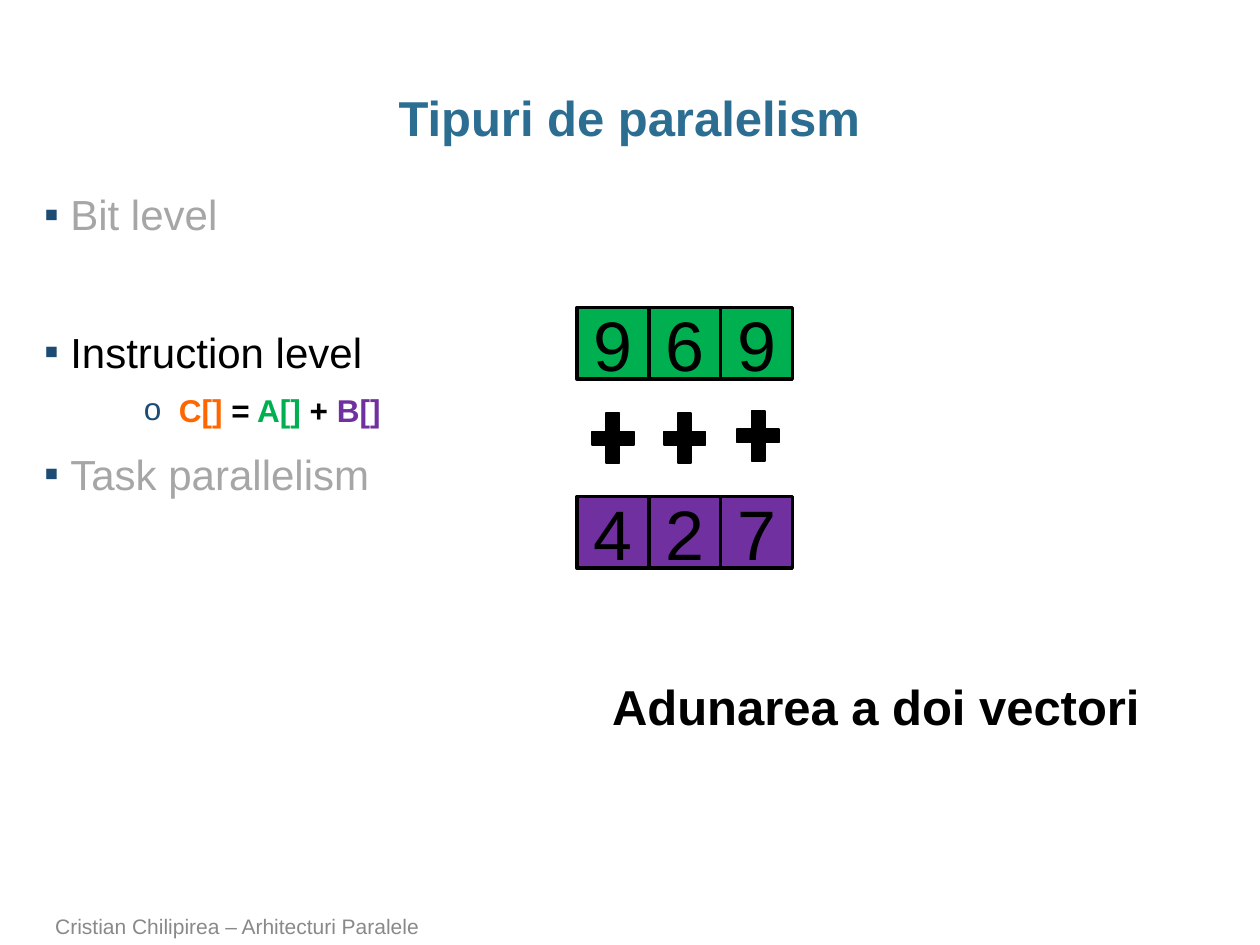
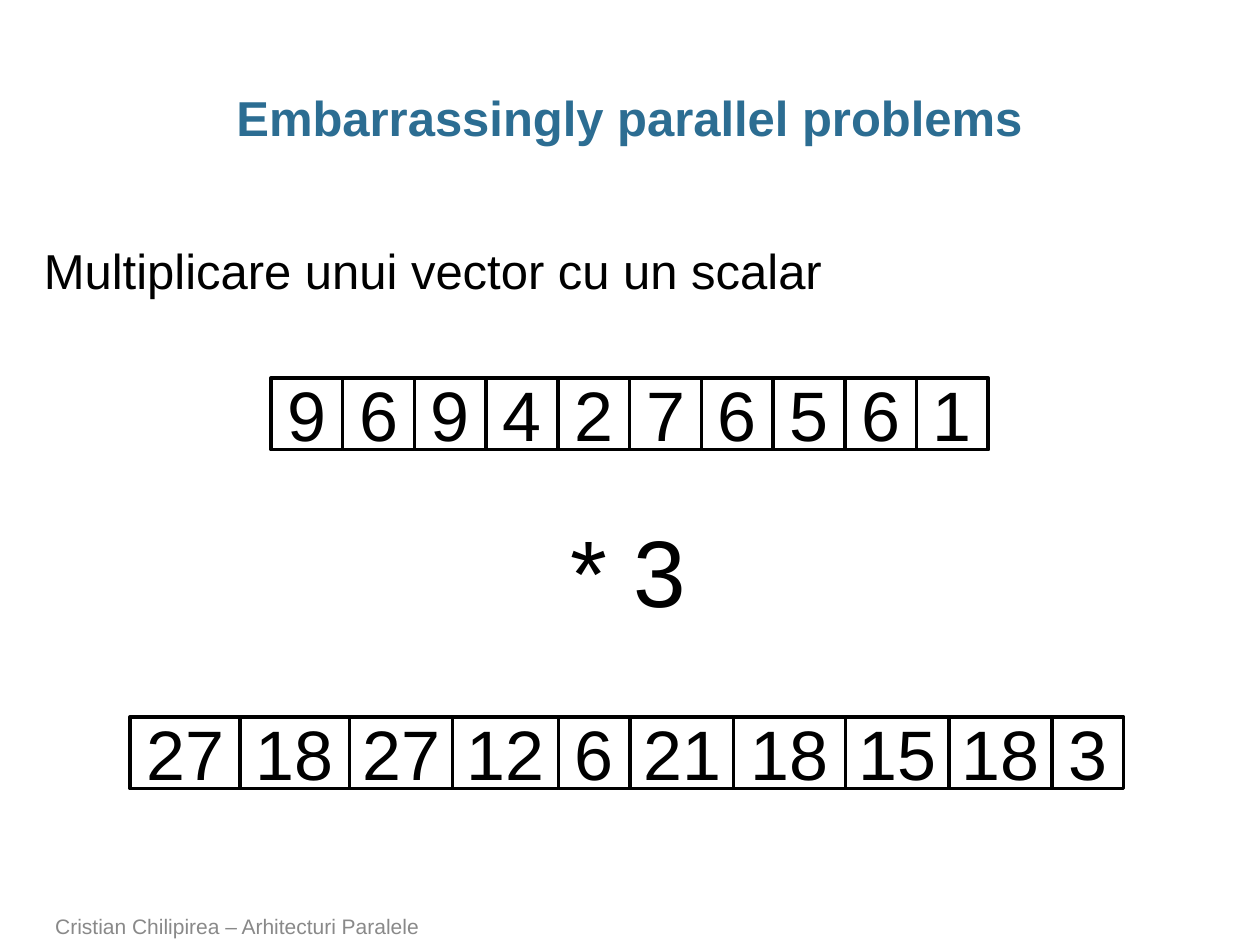
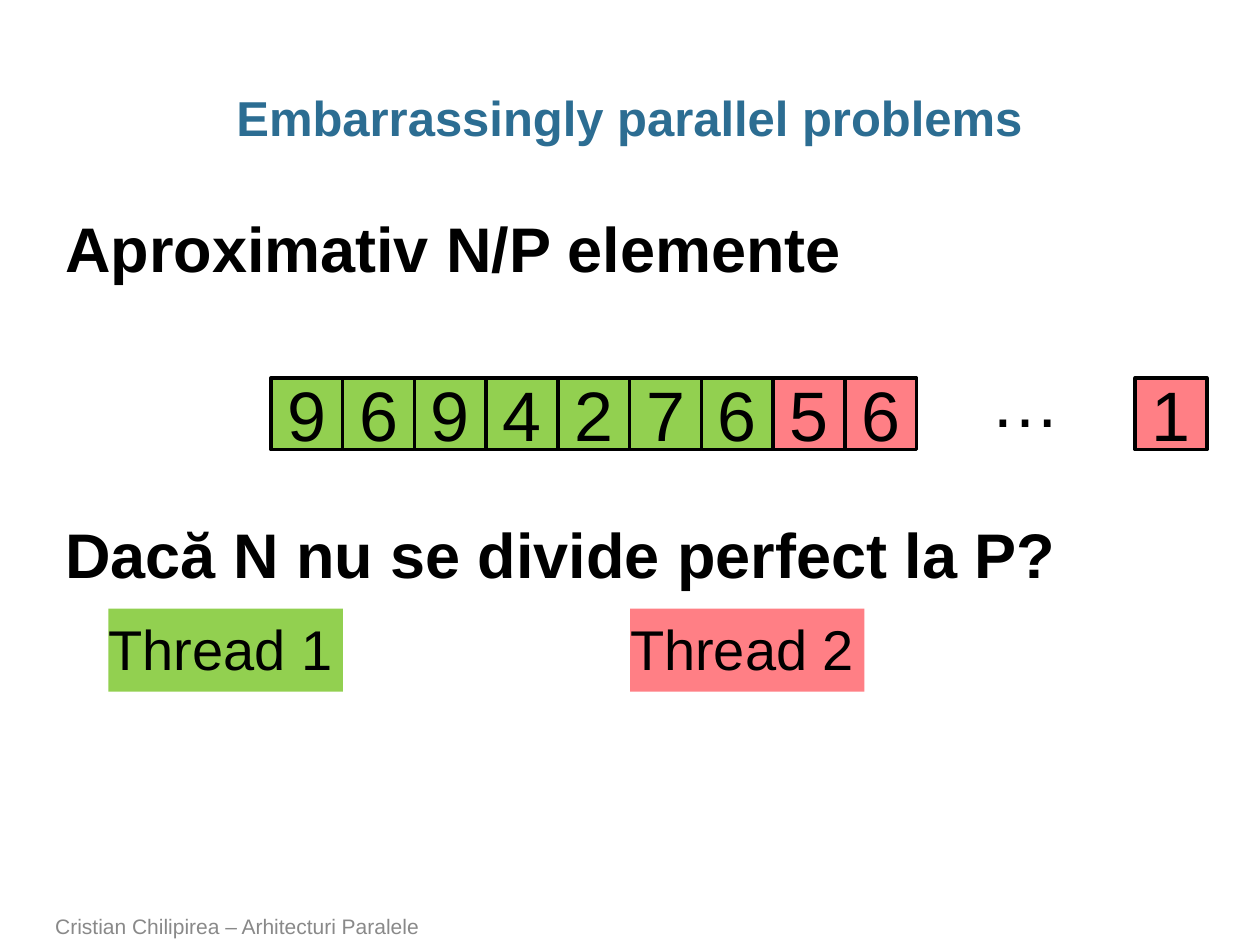
import itertools

import pptx
import pptx.dml.color
import pptx.enum.shapes
import pptx.enum.text
import pptx.oxml
import pptx.oxml.ns
import pptx.util

Pt = pptx.util.Pt
ALIGN = pptx.enum.text.PP_ALIGN
ANCHOR = pptx.enum.text.MSO_ANCHOR
SHAPE = pptx.enum.shapes.MSO_SHAPE

BLACK, GREY, FAINT = "000000", "898989", "A6A6A6"
TITLE, BULLET = "2C6D92", "1C4C74"
GREEN, PURPLE, ORANGE = "00B050", "7030A0", "FF6600"
LIME, PINK = "92D050", "FF7F85"
FOOTER = "Cristian Chilipirea – Arhitecturi Paralele"
CELL = 41
ROW_LEFT, ROW_TOP = 154.8, 216


def color(value):
    """Return the colour for a hex string."""
    return pptx.dml.color.RGBColor.from_string(value)


class Lecture:
    """Hold the shared style and the current slide."""

    def __init__(self):
        """Open a deck of 10 by 7.5 inch slides."""
        self.deck = pptx.Presentation()
        self.deck.slide_width, self.deck.slide_height = Pt(720), Pt(540)
        self.page = None

    def start(self, title):
        """Add a slide with its title and footer."""
        self.page = self.deck.slides.add_slide(self.deck.slide_layouts[6])
        para = self.text(title, 24.5, 49, 670.3, 36, 28, TITLE, bold=True, inset=0)
        para.alignment = ALIGN.CENTER
        para.line_spacing = 0.95
        self.text(FOOTER, 24.5, 519.8, 530.6, 20.2, 12, GREY, anchor=ANCHOR.BOTTOM)

    def style(self, para, size, value=BLACK, bold=False):
        """Set the font of a paragraph."""
        para.font.name, para.font.size, para.font.bold = "Arial", Pt(size), bold
        para.font.color.rgb = color(value)

    def frame(self, left, top, width, height, inset=7.2, wrap=True):
        """Add a text box and return its text frame."""
        box = self.page.shapes.add_textbox(Pt(left), Pt(top), Pt(width), Pt(height))
        box.text_frame.word_wrap = wrap
        box.text_frame.margin_left = box.text_frame.margin_right = Pt(inset)
        return box.text_frame

    def text(self, words, left, top, width, height, size, value=BLACK,
             bold=False, inset=7.2, wrap=True, anchor=ANCHOR.TOP):
        """Add a text box with one paragraph and return the paragraph."""
        frame = self.frame(left, top, width, height, inset, wrap)
        frame.vertical_anchor = anchor
        para = frame.paragraphs[0]
        para.text = words
        self.style(para, size, value, bold)
        return para

    def bullet(self, para, mark, indent, hanging, spans, size, bold=False, before=0):
        """Fill a paragraph as a bullet of coloured spans."""
        properties = para._p.get_or_add_pPr()
        properties.set("marL", str(Pt(indent)))
        properties.set("indent", str(-Pt(hanging)))
        namespace = pptx.oxml.ns.nsdecls("a")
        for element in (f'<a:buClr {namespace}><a:srgbClr val="{BULLET}"/></a:buClr>',
                        f'<a:buFont {namespace} typeface="Arial"/>',
                        f'<a:buChar {namespace} char="{mark}"/>'):
            properties.append(pptx.oxml.parse_xml(element))
        if before:
            para.space_before = Pt(before)
        self.style(para, size, spans[0][1], bold)
        for words, value in spans:
            span = para.add_run()
            span.text = words
            span.font.color.rgb = color(value)

    def shape(self, kind, left, top, width, height, fill=None, line=0):
        """Add a preset shape with an optional fill and black outline."""
        shape = self.page.shapes.add_shape(kind, Pt(left), Pt(top), Pt(width), Pt(height))
        shape.shadow.inherit = False
        if fill:
            shape.fill.solid()
            shape.fill.fore_color.rgb = color(fill)
        else:
            shape.fill.background()
        if line:
            shape.line.color.rgb = color(BLACK)
            shape.line.width = Pt(line)
        else:
            shape.line.fill.background()
        return shape

    def label(self, shape, words, size, align, anchor):
        """Write one paragraph inside a shape."""
        frame = shape.text_frame
        frame.margin_left = frame.margin_right = 0
        frame.vertical_anchor = anchor
        para = frame.paragraphs[0]
        para.text, para.alignment = words, align
        self.style(para, size)

    def vector(self, values, left, top, fills=(None,), widths=(CELL,)):
        """Draw a row of touching number cells, repeating the last fill and width."""
        fills = itertools.chain(fills, itertools.repeat(fills[-1]))
        widths = itertools.chain(widths, itertools.repeat(widths[-1]))
        for value, fill, width in zip(values, fills, widths):
            cell = self.shape(SHAPE.RECTANGLE, left, top, width, CELL, fill, 2)
            self.label(cell, str(value), 40, ALIGN.CENTER, ANCHOR.MIDDLE)
            left += width

    def thread(self, words, left, fill):
        """Add a filled thread label."""
        tag = self.shape(SHAPE.RECTANGLE, left, 347.8, 134, 47.5, fill)
        self.label(tag, words, 32, ALIGN.LEFT, ANCHOR.TOP)


def parallelism_types(lecture):
    """Build the slide on kinds of parallelism."""
    lecture.start("Tipuri de paralelism")
    body = lecture.frame(25.2, 104.4, 671, 401, inset=0)
    level = ("▪", 15, 15)
    lecture.bullet(body.paragraphs[0], *level, [("Bit level", FAINT)], 24)
    lecture.bullet(body.add_paragraph(), *level, [("Instruction level", BLACK)], 24, before=49.6)
    formula = [("C[] ", ORANGE), ("=", BLACK), (" A[]", GREEN), (" + ", BLACK), ("B[]", PURPLE)]
    lecture.bullet(body.add_paragraph(), "o", 77, 20, formula, 18, bold=True, before=8.3)
    lecture.bullet(body.add_paragraph(), *level, [("Task parallelism", FAINT)], 24, before=11)
    lecture.vector([9, 6, 9], 329.8, 175.7, [GREEN])
    lecture.vector([4, 2, 7], 329.8, 283.7, [PURPLE])
    for left, top in ((334, 231), (375, 231), (417, 229.7)):
        lecture.shape(SHAPE.MATH_PLUS, left, top, 32.4, 38.9, BLACK, 1)
    lecture.text("Adunarea a doi vectori", 342.7, 383, 319.7, 41, 28, bold=True, wrap=False)


def scalar_product(lecture):
    """Build the slide that multiplies a vector by a scalar."""
    numbers = [9, 6, 9, 4, 2, 7, 6, 5, 6, 1]
    lecture.start("Embarrassingly parallel problems")
    lecture.vector(numbers, ROW_LEFT, ROW_TOP)
    lecture.text("Multiplicare unui vector cu un scalar", 18, 134, 465, 41, 28, wrap=False)
    lecture.vector([3 * number for number in numbers], 74.2, 409.7,
                   widths=[63, 62.5, 59, 60.5, CELL, 59, 64, 59, 59, CELL])
    lecture.text("* 3", 319, 289.4, 81.4, 72.7, 54, wrap=False)


def work_split(lecture):
    """Build the slide that shares a vector between threads."""
    lecture.start("Embarrassingly parallel problems")
    lecture.vector([9, 6, 9, 4, 2, 7, 6, 5, 6], ROW_LEFT, ROW_TOP, [LIME] * 7 + [PINK])
    lecture.vector([1], 648.7, ROW_TOP, [PINK])
    notes = lecture.frame(30.2, 116, 679, 225.4)
    notes.text = "Aproximativ N/P elemente\nDacă N nu se divide perfect la P?"
    for para in notes.paragraphs:
        lecture.style(para, 36, bold=True)
    notes.paragraphs[1].space_before = Pt(132)
    lecture.text("…", 558.7, 200.9, 54.7, 55.4, 40, wrap=False)
    lecture.thread("Thread 1", 62, LIME)
    lecture.thread("Thread 2", 360, PINK)


def main():
    """Build and save the deck."""
    lecture = Lecture()
    parallelism_types(lecture)
    scalar_product(lecture)
    work_split(lecture)
    lecture.deck.save("out.pptx")


if __name__ == "__main__":
    main()
